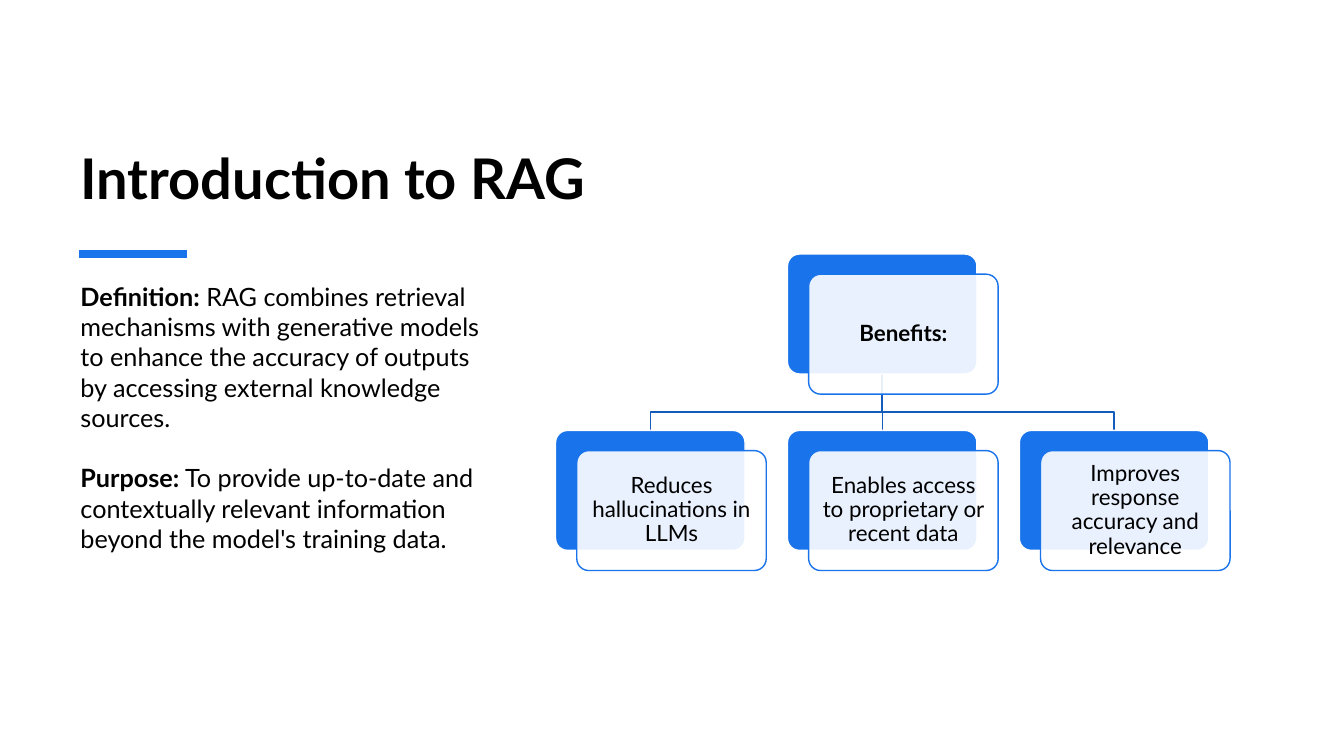
import dataclasses

import lxml.etree
import pptx
import pptx.dml.color
import pptx.enum.shapes
import pptx.enum.text
import pptx.oxml.ns
import pptx.util

PX = 9144


@dataclasses.dataclass(frozen=True)
class Theme:
    font: str = "Lato"
    black: str = "000000"
    white: str = "FFFFFF"
    blue: str = "1973EB"
    dark_blue: str = "145CBC"
    title_size: float = 40
    body_size: float = 18
    card_size: float = 16


THEME = Theme()
CARD_WIDTH, CARD_HEIGHT = 188, 119
CARD_LEFT, CARD_PITCH = 551, 230
ROOT_TOP, CHILD_TOP, BRANCH_Y = 252, 427, 409
FRONT_SHIFT = 21, 20
BENEFITS = [
    "Reduces hallucinations in LLMs",
    "Enables access to proprietary or recent data",
    "Improves response accuracy and relevance",
]
BODY = [
    ("Definition:", " RAG combines retrieval mechanisms with generative models "
     "to enhance the accuracy of outputs by accessing external knowledge sources."),
    ("Purpose:", " To provide up-to-date and contextually relevant information "
     "beyond the model's training data."),
]


def emu(*lengths):
    return [length * PX for length in lengths]


def color(value):
    return pptx.dml.color.RGBColor.from_string(value)


def apply(target, values):
    for name, value in values.items():
        setattr(target, name, value)


def paint_line(line, value, width):
    line.color.rgb = color(value)
    line.width = pptx.util.Pt(width)


def add_span(para, text, size, bold=False):
    span = para.add_run()
    span.text = text
    apply(span.font, {"name": THEME.font, "size": pptx.util.Pt(size), "bold": bold})
    span.font.color.rgb = color(THEME.black)


def add_text_box(page, bounds, anchor):
    box = page.shapes.add_textbox(*emu(*bounds))
    apply(box.text_frame, {"word_wrap": True, "vertical_anchor": anchor})
    return box.text_frame


def add_title(page, text):
    frame = add_text_box(page, (70, 62, 1191, 152), pptx.enum.text.MSO_ANCHOR.BOTTOM)
    add_span(frame.paragraphs[0], text, THEME.title_size, True)


def add_body(page, entries):
    frame = add_text_box(page, (70, 274, 424, 313), pptx.enum.text.MSO_ANCHOR.TOP)
    for index, (label, text) in enumerate(entries):
        para = frame.add_paragraph() if index else frame.paragraphs[0]
        para.space_before = pptx.util.Pt(1.2 * THEME.body_size if index else 0)
        add_span(para, label, THEME.body_size, True)
        add_span(para, text, THEME.body_size)


def add_straight_line(page, points, value, width):
    kind = pptx.enum.shapes.MSO_CONNECTOR.STRAIGHT
    line = page.shapes.add_connector(kind, *emu(*points))
    paint_line(line.line, value, width)
    lxml.etree.SubElement(line._element.spPr, pptx.oxml.ns.qn("a:effectLst"))


def add_branch(page, start, end):
    builder = page.shapes.build_freeform(*start, scale=PX)
    corners = [(start[0], BRANCH_Y), (end[0], BRANCH_Y), end]
    builder.add_line_segments(corners, close=False)
    branch = builder.convert_to_shape()
    branch.shadow.inherit = False
    branch.fill.background()
    paint_line(branch.line, THEME.dark_blue, 1)


def add_panel(page, left, top, fill, outline):
    kind = pptx.enum.shapes.MSO_SHAPE.ROUNDED_RECTANGLE
    panel = page.shapes.add_shape(kind, *emu(left, top, CARD_WIDTH, CARD_HEIGHT))
    panel.adjustments[0] = 0.1
    panel.shadow.inherit = False
    panel.fill.solid()
    panel.fill.fore_color.rgb = color(fill)
    paint_line(panel.line, outline, 1)
    return panel


def add_card(page, left, top, text, bold=False):
    add_panel(page, left, top, THEME.blue, THEME.white)
    shift_x, shift_y = FRONT_SHIFT
    front = add_panel(page, left + shift_x, top + shift_y, THEME.white, THEME.blue)
    tint = front._element.spPr.find(".//" + pptx.oxml.ns.qn("a:srgbClr"))
    lxml.etree.SubElement(tint, pptx.oxml.ns.qn("a:alpha"), val="90000")
    frame = front.text_frame
    sides = ("left", "top", "right", "bottom")
    apply(frame, {f"margin_{side}": 7 * PX for side in sides})
    apply(frame, {"word_wrap": True,
                  "vertical_anchor": pptx.enum.text.MSO_ANCHOR.MIDDLE})
    para = frame.paragraphs[0]
    apply(para, {"alignment": pptx.enum.text.PP_ALIGN.CENTER, "line_spacing": 0.9})
    add_span(para, text, THEME.card_size, bold)


def add_benefit_tree(page):
    lefts = [CARD_LEFT + CARD_PITCH * index for index in range(len(BENEFITS))]
    root_left = lefts[len(lefts) // 2]
    start = root_left + CARD_WIDTH // 2, ROOT_TOP + CARD_HEIGHT
    for left in lefts:
        end = left + CARD_WIDTH // 2, CHILD_TOP
        if left == root_left:
            add_straight_line(page, start + end, THEME.dark_blue, 1)
        else:
            add_branch(page, start, end)
    add_card(page, root_left, ROOT_TOP, "Benefits:", True)
    for left, text in zip(lefts, BENEFITS):
        add_card(page, left, CHILD_TOP, text)


def main():
    deck = pptx.Presentation()
    apply(deck, dict(zip(("slide_width", "slide_height"), emu(1333, 750))))
    page = deck.slides.add_slide(deck.slide_layouts[6])
    add_title(page, "Introduction to RAG")
    add_straight_line(page, (78, 252, 185, 252), THEME.blue, 6)
    add_benefit_tree(page)
    add_body(page, BODY)
    deck.save("out.pptx")


if __name__ == "__main__":
    main()
